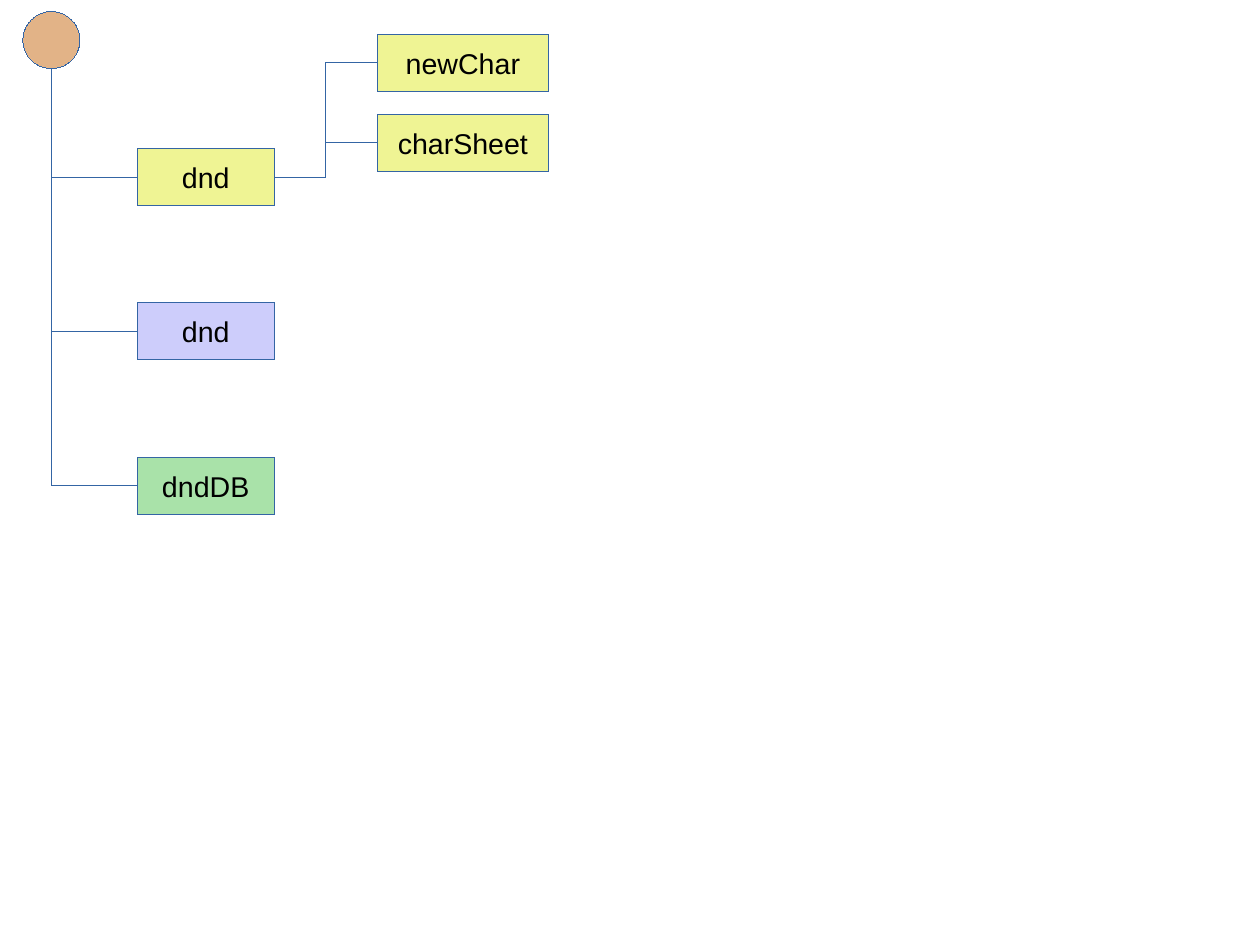
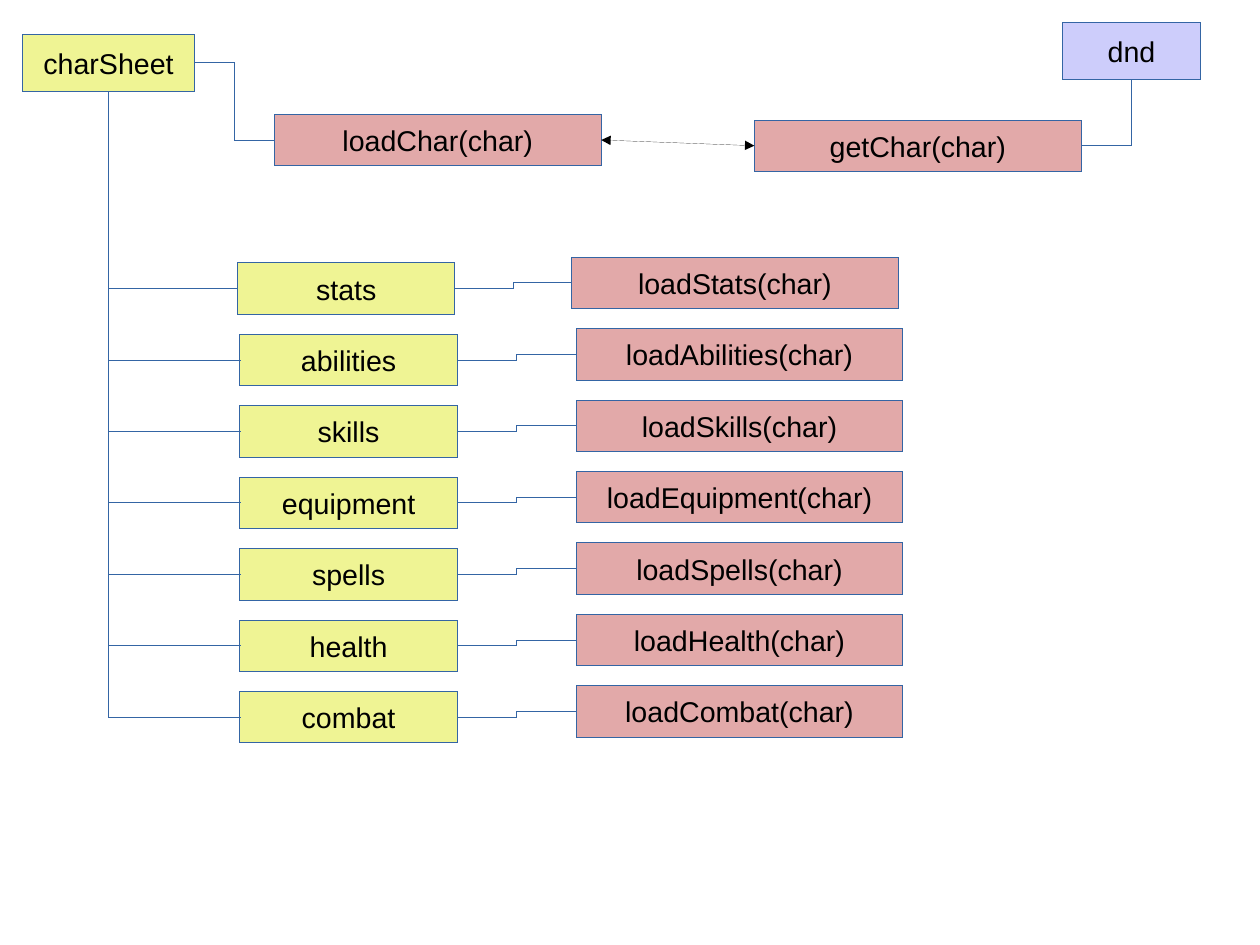
from dataclasses import dataclass

from lxml.etree import SubElement
from pptx import Presentation
from pptx.dml.color import RGBColor as RGB
from pptx.enum.shapes import MSO_CONNECTOR as LINE, MSO_SHAPE as SHAPE
from pptx.enum.text import MSO_ANCHOR as ANCHOR, PP_ALIGN as ALIGN
from pptx.oxml.ns import qn
from pptx.util import Cm, Inches, Pt

TOP, LEFT, BOTTOM, RIGHT = range(4)
ROUND_BOTTOM = "4"  # an ellipse has eight sites, the fifth is its bottom


@dataclass(frozen=True)
class Theme:
    root: str = "E2B387"
    page: str = "EFF494"
    server: str = "CDCDFB"
    data: str = "A9E2A9"
    call: str = "E2A9A9"
    edge: str = "3465A4"
    ink: str = "000000"
    font: str = "Arial"
    size: int = 18
    hair: int = 0


THEME = Theme()


def grid(n):
    """Length of n grid cells, ten to the inch."""
    return Inches(n / 10)


def trace(part, color):
    """Hairline in the given colour, free of the preset style's width."""
    part.line.color.rgb = RGB.from_string(color)
    part.line.width = Pt(THEME.hair)
    body = part._element
    body.remove(body.find(qn("p:style")))


def node(slide, x, y, w, h, fill, label="", kind=SHAPE.RECTANGLE):
    box = slide.shapes.add_shape(kind, grid(x), grid(y), grid(w), grid(h))
    box.shadow.inherit = False
    box.fill.solid()
    box.fill.fore_color.rgb = RGB.from_string(fill)
    trace(box, THEME.edge)
    if label:
        frame = box.text_frame
        frame.vertical_anchor = ANCHOR.MIDDLE
        par = frame.paragraphs[0]
        par.alignment = ALIGN.CENTER
        run = par.add_run()
        run.text = label
        run.font.name = THEME.font
        run.font.size = Pt(THEME.size)
        run.font.color.rgb = RGB.from_string(THEME.ink)
    return box


def link(slide, start, end, out=RIGHT, into=LEFT, kind=LINE.ELBOW, color=THEME.edge):
    line = slide.shapes.add_connector(kind, 0, 0, 0, 0)
    line.begin_connect(start, out)
    line.end_connect(end, into)
    trace(line, color)
    SubElement(line._element.spPr, qn("a:effectLst"))
    return line


def drop(slide, start, end, into=LEFT):
    """Link that leaves the bottom of start and turns once into a side of end."""
    line = link(slide, start, end, BOTTOM, into)
    if start.auto_shape_type == SHAPE.OVAL:
        site = next(line._element.iter(qn("a:stCxn")))
        site.set("idx", ROUND_BOTTOM)
    wide, tall = line.width, line.height
    mid_x, mid_y = line.left + wide // 2, line.top + tall // 2
    # The one-bend preset starts sideways, so it is laid out turned a quarter.
    line.left, line.top = mid_x - tall // 2, mid_y - wide // 2
    line.width, line.height = tall, wide
    props = line._element.spPr
    frame = props.find(qn("a:xfrm"))
    for flip in ("flipH", "flipV"):
        frame.attrib.pop(flip, None)
    if into == LEFT:
        frame.set("rot", "16200000")
        frame.set("flipH", "1")
    else:
        frame.set("rot", "5400000")
    props.find(qn("a:prstGeom")).set("prst", "bentConnector2")


def swap(slide, start, end):
    """Straight link with an arrowhead at both ends."""
    line = link(slide, start, end, kind=LINE.STRAIGHT, color=THEME.ink)
    stroke = line._element.spPr.find(qn("a:ln"))
    for tip in ("a:headEnd", "a:tailEnd"):
        SubElement(stroke, qn(tip), type="triangle")


def site(slide, x, y):
    """Root circle with three branches, the first one opening two pages."""
    root = node(slide, x, y, 5, 5, THEME.root, kind=SHAPE.OVAL)
    parts = [("dnd", THEME.page), ("dnd", THEME.server), ("dndDB", THEME.data)]
    boxes = [node(slide, x + 10, y + 12 + 13.5 * row, 12, 5, fill, label)
             for row, (label, fill) in enumerate(parts)]
    for box in boxes:
        drop(slide, root, box)
    for row, label in enumerate(["newChar", "charSheet"]):
        page = node(slide, x + 31, y + 2 + 7 * row, 15, 5, THEME.page, label)
        link(slide, boxes[0], page)


def fetch(slide, sheet, x, y):
    """Call from the sheet to the server and back."""
    load = node(slide, x, y, 28.6, 4.5, THEME.call, "loadChar(char)")
    link(slide, sheet, load)
    get = node(slide, x + 42, y + 0.5, 28.6, 4.5, THEME.call, "getChar(char)")
    server = node(slide, x + 69, y - 8, 12, 5, THEME.server, "dnd")
    drop(slide, server, get, RIGHT)
    swap(slide, load, get)


def tabs(slide, sheet, x, y):
    """Column of tabs under the sheet, each with the call that loads it."""
    names = ["stats", "abilities", "skills", "equipment",
             "spells", "health", "combat"]
    for row, name in enumerate(names):
        top = y + row * 25 / 4
        first = row == 0
        tab = node(slide, x - 0.2 * first, top, 19, 4.5, THEME.page, name)
        drop(slide, sheet, tab)
        load = node(slide, x + 29.4 - 0.4 * first, top - 0.5, 28.6, 4.5,
                    THEME.call, f"load{name.title()}(char)")
        link(slide, tab, load)


def main():
    deck = Presentation()
    deck.slide_width, deck.slide_height = Cm(28), Cm(21)
    blank = deck.slide_layouts[6]
    site(deck.slides.add_slide(blank), 2, 1)
    slide = deck.slides.add_slide(blank)
    sheet = node(slide, 2, 3, 15, 5, THEME.page, "charSheet")
    fetch(slide, sheet, 24, 10)
    tabs(slide, sheet, 21, 23)
    deck.save("out.pptx")


if __name__ == "__main__":
    main()
